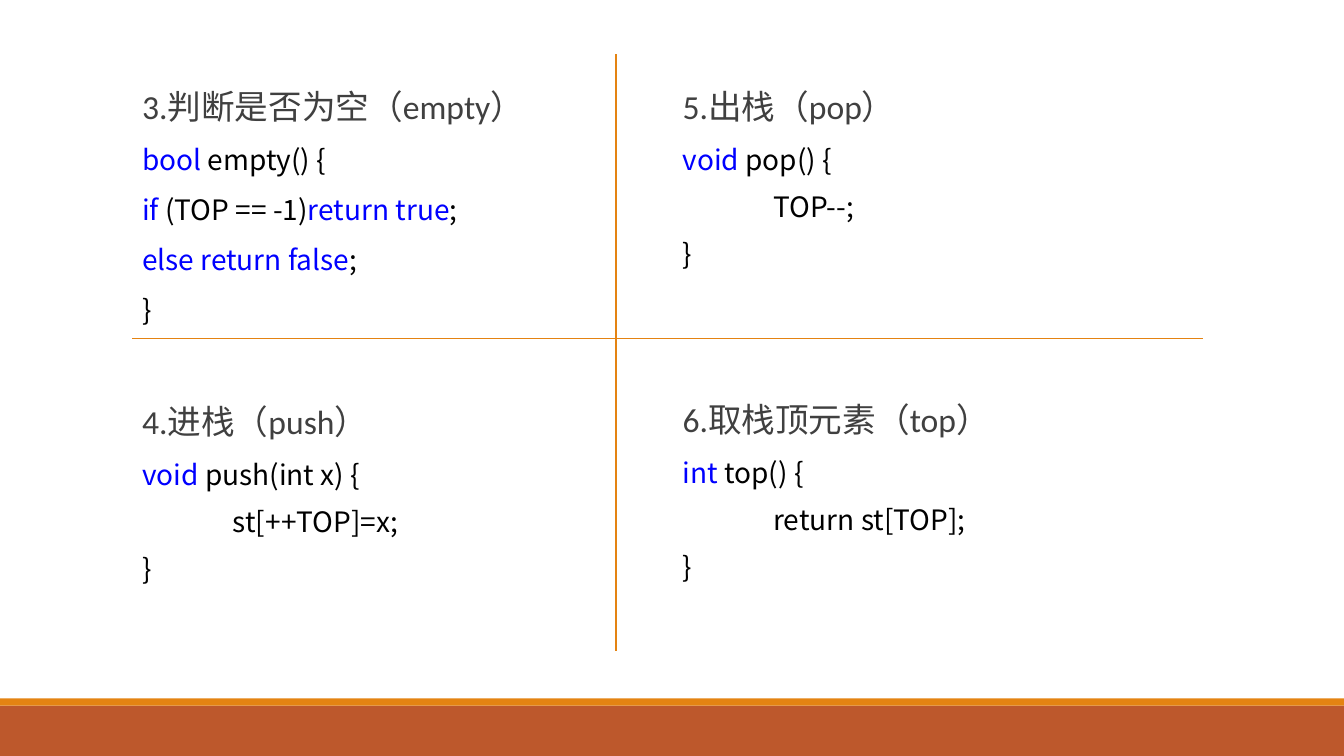
from dataclasses import dataclass

from lxml import etree
from pptx import Presentation
from pptx.dml.color import RGBColor
from pptx.enum import shapes, text
from pptx.oxml import ns
from pptx.util import Inches, Pt


@dataclass(frozen=True)
class Theme:
    accent: str = "E48312"
    band: str = "BD582C"
    heading: str = "404040"
    keyword: str = "0000FF"
    plain: str = "000000"
    heading_font: str = "Calibri"
    code_font: str = "Noto Sans CJK SC"
    heading_size: int = 24
    code_size: int = 20


THEME = Theme()
SLIDE_WIDTH, SLIDE_HEIGHT = 13.33, 7.5

# Each operation: placeholder index, box, heading, space after code lines,
# and code lines whose parts alternate keyword, plain, keyword, ...
OPERATIONS = [
    (1, (1.31, 0.85, 4.32, 3.1), "3.判断是否为空（empty）", 2, [
        ("bool", " empty() {"),
        ("if", " (TOP == -1)", "return true", ";"),
        ("else return false", ";"),
        ("", "}"),
    ]),
    (2, (1.31, 3.97, 4.48, 2.32), "4.进栈（push）", 0, [
        ("void", " push(int x) {"),
        ("", "\tst[++TOP]=x;"),
        ("", "}"),
    ]),
    (3, (6.67, 0.85, 3.98, 2.33), "5.出栈（pop）", 0, [
        ("void", " pop() {"),
        ("", "\tTOP--;"),
        ("", "}"),
    ]),
    (4, (6.67, 3.95, 3.74, 2.33), "6.取栈顶元素（top）", 0, [
        ("int", " top() {"),
        ("", "\treturn st[TOP];"),
        ("", "}"),
    ]),
]


def format_run(run, font_name, size, color):
    run.font.name = font_name
    run.font.size = Pt(size)
    run.font.bold = False
    run.font.color.rgb = RGBColor.from_string(color)
    east_asian = etree.SubElement(run.font._element, ns.qn("a:ea"))
    east_asian.set("typeface", THEME.code_font)


def format_paragraph(paragraph, space_after):
    paragraph.alignment = text.PP_ALIGN.LEFT
    paragraph.line_spacing = 0.9
    paragraph.space_before = Pt(12)
    paragraph.space_after = Pt(space_after)
    # Hanging indent, one-inch tabs and a blank bullet
    properties = paragraph._p.get_or_add_pPr()
    properties.set("marL", str(Inches(0.1)))
    properties.set("indent", str(Inches(-0.1)))
    properties.set("defTabSz", str(Inches(1)))
    bullet_color = etree.SubElement(properties, ns.qn("a:buClr"))
    etree.SubElement(bullet_color, ns.qn("a:srgbClr")).set("val", THEME.accent)
    etree.SubElement(properties, ns.qn("a:buChar")).set("char", " ")


def add_operation(slide, index, box, heading, code_after, code):
    body = slide.placeholders[index]
    body.left, body.top, body.width, body.height = map(Inches, box)
    frame = body.text_frame
    frame.margin_left = frame.margin_right = 0
    frame.margin_top = frame.margin_bottom = Inches(0.05)
    frame.vertical_anchor = text.MSO_ANCHOR.TOP
    frame.auto_size = text.MSO_AUTO_SIZE.NONE
    frame.word_wrap = True

    # Heading
    frame.text = heading
    title_line = frame.paragraphs[0]
    format_paragraph(title_line, 2)
    format_run(title_line.runs[0], THEME.heading_font, THEME.heading_size, THEME.heading)

    # Code
    for parts in code:
        code_line = frame.add_paragraph()
        format_paragraph(code_line, code_after)
        for position, part in enumerate(parts):
            if part:
                run = code_line.add_run()
                run.text = part
                color = THEME.plain if position % 2 else THEME.keyword
                format_run(run, THEME.code_font, THEME.code_size, color)


def add_divider(slide, left, top, width, height):
    divider = slide.shapes.add_connector(
        shapes.MSO_CONNECTOR.STRAIGHT, Inches(left), Inches(top),
        Inches(left + width), Inches(top + height))
    divider.line.color.rgb = RGBColor.from_string(THEME.accent)
    divider.line.width = Pt(1)
    etree.SubElement(divider._element.spPr, ns.qn("a:effectLst"))


def add_footer(slide, left, top, width, height):
    stripe_height = 0.07
    for band_top, band_height, color in (
            (top + stripe_height, height - stripe_height, THEME.band),
            (top, stripe_height, THEME.accent)):
        band = slide.shapes.add_shape(
            shapes.MSO_SHAPE.RECTANGLE, Inches(left), Inches(band_top),
            Inches(width), Inches(band_height))
        band.shadow.inherit = False
        band.fill.solid()
        band.fill.fore_color.rgb = RGBColor.from_string(color)
        band.line.fill.background()


def build_stack_slide(presentation):
    # The comparison layout offers four body placeholders
    slide = presentation.slides.add_slide(presentation.slide_layouts[4])
    unused_title = slide.shapes.title._element
    unused_title.getparent().remove(unused_title)
    add_footer(slide, 0, 6.93, SLIDE_WIDTH, 0.57)
    for operation in OPERATIONS:
        add_operation(slide, *operation)
    add_divider(slide, 1.31, 3.36, 10.62, 0)
    add_divider(slide, 6.11, 0.54, 0, 5.92)


def main():
    presentation = Presentation()
    presentation.slide_width = Inches(SLIDE_WIDTH)
    presentation.slide_height = Inches(SLIDE_HEIGHT)
    build_stack_slide(presentation)
    presentation.save("out.pptx")


if __name__ == "__main__":
    main()
